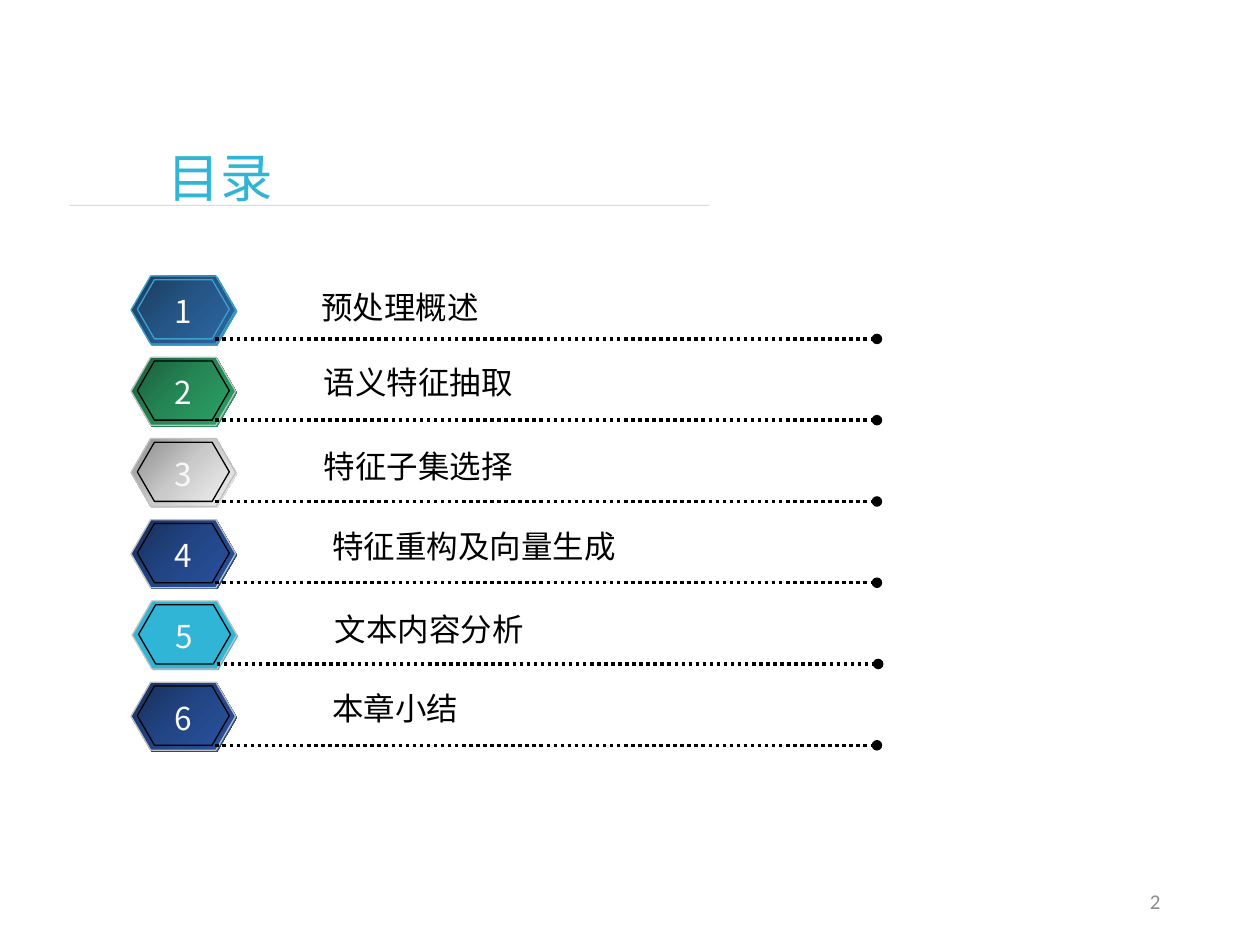
import copy
import lxml.etree
import pptx
import pptx.util
import pptx.dml.color
import pptx.enum.dml
import pptx.enum.shapes
import pptx.enum.text
import pptx.oxml.ns

Inches = pptx.util.Inches
Pt = pptx.util.Pt
qn = pptx.oxml.ns.qn
Align = pptx.enum.text.PP_ALIGN
Anchor = pptx.enum.text.MSO_ANCHOR
Fit = pptx.enum.text.MSO_AUTO_SIZE
Dash = pptx.enum.dml.MSO_LINE

BLUE = ["1A3C5F", "255687", "2B66A1"]
GREEN = ["1A5F3C", "258756", "2BA166"]
GREY = ["8F8E8E", "CBCACA", "F1F0F0"]
NAVY = ["18315E", "224585", "28529E"]
CYAN = ["31B5D6"]
ROWS = [
    ("预处理概述", BLUE, 2.45, 2.24, 1.46),
    ("语义特征抽取", GREEN, 2.47, 2.83, 1.72),
    ("特征子集选择", GREY, 2.47, 3.5, 1.72),
    ("特征重构及向量生成", NAVY, 2.54, 4.13, 2.47),
    ("文本内容分析", CYAN, 2.56, 4.79, 1.72),
    ("本章小结", NAVY, 2.54, 5.42, 1.21),
]
TOP, STEP = 2.19, 0.645


def color(code):
    return pptx.dml.color.RGBColor.from_string(code)


def node(host, tag, **attrs):
    lxml.etree.SubElement(host, qn(tag), attrs)


def write(frame, text, size=18, ink="000000", font="Noto Sans CJK SC",
          align=Align.LEFT, anchor=Anchor.TOP, wrap=False, fit=Fit.SHAPE_TO_FIT_TEXT):
    frame.word_wrap = wrap
    frame.auto_size = fit
    frame.vertical_anchor = anchor
    para = frame.paragraphs[0]
    para.alignment = align
    run = para.add_run()
    run.text = text
    run.font.size = Pt(size)
    run.font.name = font
    run.font.color.rgb = color(ink)
    node(run.font._element, "a:ea", typeface=font)


def shade(shape, tones):
    if len(tones) == 1:
        shape.fill.solid()
        shape.fill.fore_color.rgb = color(tones[0])
        return
    shape.fill.gradient()
    shape.fill.gradient_angle = 315
    stops = next(shape.element.iter(qn("a:gsLst")))
    stops.insert(1, copy.deepcopy(stops[0]))
    for stop, tone, place in zip(shape.fill.gradient_stops, tones, (0, 0.5, 1)):
        stop.color.rgb = color(tone)
        stop.position = place


class Deck:
    def __init__(self):
        self.file = pptx.Presentation()
        self.file.slide_width = Inches(10)
        self.file.slide_height = Inches(7.5)
        self.slide = self.file.slides.add_slide(self.file.slide_layouts[5])

    def title(self, text, x, y, w, h):
        box = self.slide.shapes.title
        box.left, box.top, box.width, box.height = map(Inches, (x, y, w, h))
        write(box.text_frame, text, size=30, ink="31B5D6", wrap=True)

    def text(self, text, x, y, w, h, **style):
        box = self.slide.shapes.add_textbox(*map(Inches, (x, y, w, h)))
        write(box.text_frame, text, **style)

    def line(self, x, y, end, ink, width, dash=Dash.SOLID, alpha=None, tail=None):
        kind = pptx.enum.shapes.MSO_CONNECTOR.STRAIGHT
        rule = self.slide.shapes.add_connector(kind, *map(Inches, (x, y, end, y)))
        rule.line.color.rgb = color(ink)
        rule.line.width = Pt(width)
        rule.line.dash_style = dash
        props = rule.element.spPr
        if alpha:
            node(next(props.iter(qn("a:srgbClr"))), "a:alpha", val=str(alpha * 1000))
        if tail:
            node(props.find(qn("a:ln")), "a:tailEnd", type=tail)
        node(props, "a:effectLst")

    def hex(self, group, x, y, w, h, tones, edge):
        kind = pptx.enum.shapes.MSO_SHAPE.HEXAGON
        shape = group.shapes.add_shape(kind, *map(Inches, (x, y, w, h)))
        shape.adjustments[0] = 0.289
        shape.shadow.inherit = False
        shade(shape, tones)
        if edge:
            shape.line.color.rgb = color(edge)
            shape.line.width = Pt(0.75)
        else:
            shape.line.fill.background()

    def badge(self, x, y, tones, edges):
        group = self.slide.shapes.add_group_shape()
        spots = [(0.01, 0.01, 0.83, 0.54), (0, 0, 0.83, 0.54), (0.05, 0.03, 0.73, 0.47)]
        for (dx, dy, w, h), edge in zip(spots, edges):
            self.hex(group, x + dx, y + dy, w, h, tones, edge)


def main():
    deck = Deck()
    deck.title("目录", 1.23, 1.1, 6.37, 0.61)
    deck.line(0.55, 1.63, 5.63, "4A7EBB", 0.5, alpha=25)
    for i, (label, tones, x, y, w) in enumerate(ROWS):
        left = 1.05 if tones is CYAN else 1.04
        top = TOP + i * STEP
        edges = ["3DA2CB"] * 3 if tones is BLUE else [None, "C0C0C0", "000000"]
        deck.badge(left, top, tones, edges)
        deck.line(left + 0.67, top + 0.5, left + 5.92, "000000", 2,
                  dash=Dash.ROUND_DOT, tail="oval")
        deck.text(label, x, y, w, 0.4)
        deck.text(str(i + 1), left + 0.24, top + 0.08, 0.35, 0.4,
                  ink="F8F8F8", align=Align.CENTER)
    deck.text("2", 7.06, 6.95, 2.25, 0.4, size=12, ink="8C8C8C", font="Calibri",
              align=Align.RIGHT, anchor=Anchor.MIDDLE, wrap=True, fit=Fit.NONE)
    deck.file.save("out.pptx")


if __name__ == "__main__":
    main()
